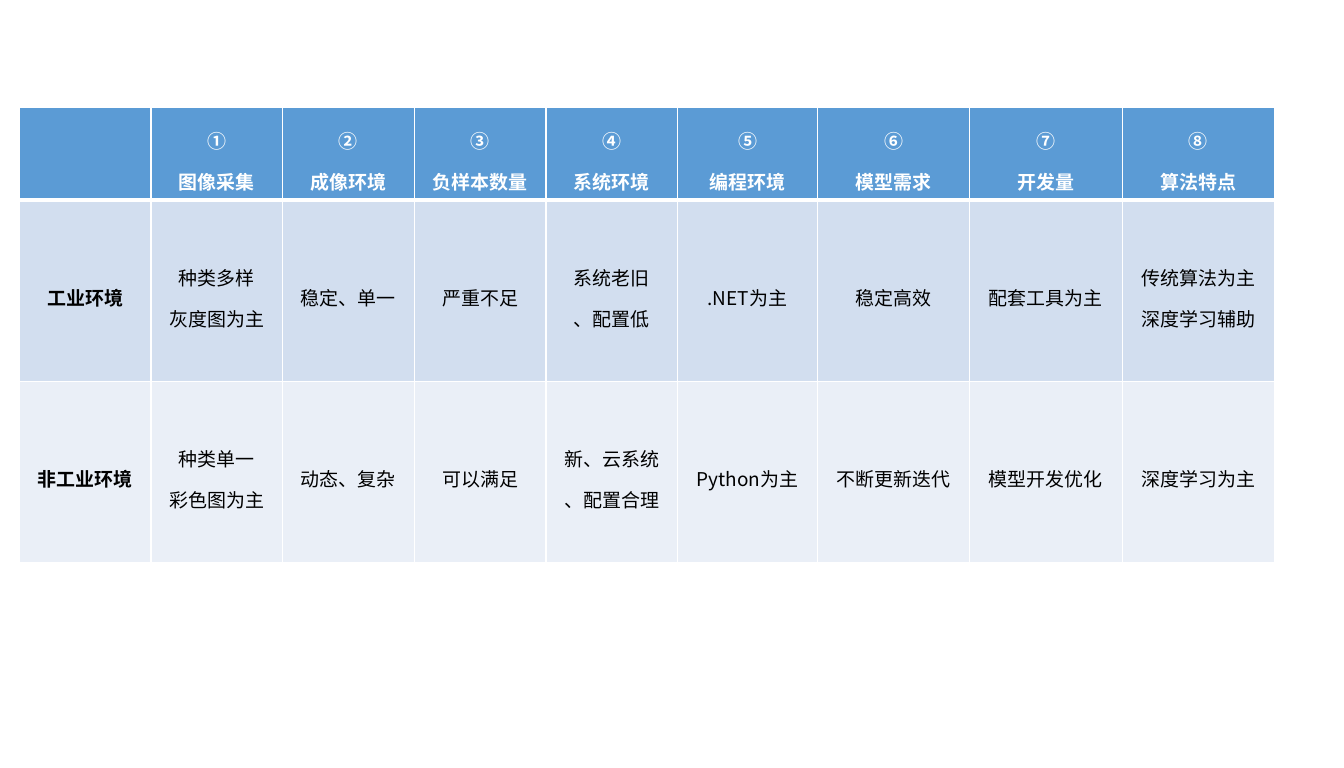
from dataclasses import dataclass

from lxml import etree
from pptx import Presentation
from pptx.dml.color import RGBColor
from pptx.enum.text import MSO_ANCHOR, PP_ALIGN
from pptx.oxml.ns import qn
from pptx.table import _Cell
from pptx.util import Pt

CENTER = PP_ALIGN.CENTER
MIDDLE = MSO_ANCHOR.MIDDLE

FONT = "Noto Sans CJK SC"
FONT_SIZE = 14
LINE_SPACING = 1.5
COLORS = {
    "header": "5B9BD5",
    "industrial": "D2DEEF",
    "other": "EAEFF7",
    "rule": "FFFFFF",
    "header_text": "FFFFFF",
    "body_text": "000000",
}

SLIDE_WIDTH, SLIDE_HEIGHT = 992.25, 567
TABLE_LEFT, TABLE_TOP = 14.3, 79.3
COLUMN_WIDTHS = [97.2] * 5 + [103.2] + [112.5] * 3
THIN, THICK = 1, 3


@dataclass(frozen=True)
class ComparisonRow:
    height: float
    fill: str
    text_color: str
    top_rule: float
    bottom_rule: float
    all_bold: bool
    texts: list[str]


TOPICS = ["图像采集", "成像环境", "负样本数量", "系统环境",
          "编程环境", "模型需求", "开发量", "算法特点"]

ROWS = [
    ComparisonRow(65.5, "header", "header_text", THIN, THICK, True,
                  [""] + [f"{number}\n{topic}" for number, topic in zip("①②③④⑤⑥⑦⑧", TOPICS)]),
    ComparisonRow(133.7, "industrial", "body_text", THICK, THIN, False,
                  ["工业环境", "种类多样\n灰度图为主", "稳定、单一", "严重不足",
                   "系统老旧\n、配置低", ".NET为主", "稳定高效", "配套工具为主",
                   "传统算法为主\n深度学习辅助"]),
    ComparisonRow(133.7, "other", "body_text", THIN, THIN, False,
                  ["非工业环境", "种类单一\n彩色图为主", "动态、复杂", "可以满足",
                   "新、云系统\n、配置合理", "Python为主", "不断更新迭代", "模型开发优化",
                   "深度学习为主"]),
]


def rgb(name: str) -> RGBColor:
    return RGBColor.from_string(COLORS[name])


def set_borders(cell: _Cell, top: float, bottom: float) -> None:
    properties = cell._tc.get_or_add_tcPr()
    for side, width in (("L", THIN), ("R", THIN), ("T", top), ("B", bottom)):
        line = etree.SubElement(properties, qn(f"a:ln{side}"), w=str(Pt(width)))
        fill = etree.SubElement(line, qn("a:solidFill"))
        etree.SubElement(fill, qn("a:srgbClr"), val=COLORS["rule"])


def write_text(cell: _Cell, text: str, color: str, bold: bool) -> None:
    cell.text_frame.text = text
    cell.vertical_anchor = MIDDLE
    for paragraph in cell.text_frame.paragraphs:
        paragraph.alignment = CENTER
        paragraph.line_spacing = LINE_SPACING
        for run in paragraph.runs:
            run.font.size = Pt(FONT_SIZE)
            run.font.bold = bold
            run.font.color.rgb = rgb(color)
            run.font.name = FONT
            # East Asian typeface
            etree.SubElement(run.font._element, qn("a:ea"), typeface=FONT)


def main() -> None:
    presentation = Presentation()
    presentation.slide_width = Pt(SLIDE_WIDTH)
    presentation.slide_height = Pt(SLIDE_HEIGHT)
    slide = presentation.slides.add_slide(presentation.slide_layouts[6])

    # Table grid
    comparison = slide.shapes.add_table(
        len(ROWS), len(COLUMN_WIDTHS), Pt(TABLE_LEFT), Pt(TABLE_TOP),
        Pt(sum(COLUMN_WIDTHS)), Pt(sum(row.height for row in ROWS))).table
    for column, width in zip(comparison.columns, COLUMN_WIDTHS):
        column.width = Pt(width)

    # Rows and cells
    for row_index, row in enumerate(ROWS):
        comparison.rows[row_index].height = Pt(row.height)
        for column_index, text in enumerate(row.texts):
            cell = comparison.cell(row_index, column_index)
            write_text(cell, text, row.text_color, row.all_bold or column_index == 0)
            set_borders(cell, row.top_rule, row.bottom_rule)
            cell.fill.solid()
            cell.fill.fore_color.rgb = rgb(row.fill)

    presentation.save("out.pptx")


if __name__ == "__main__":
    main()
